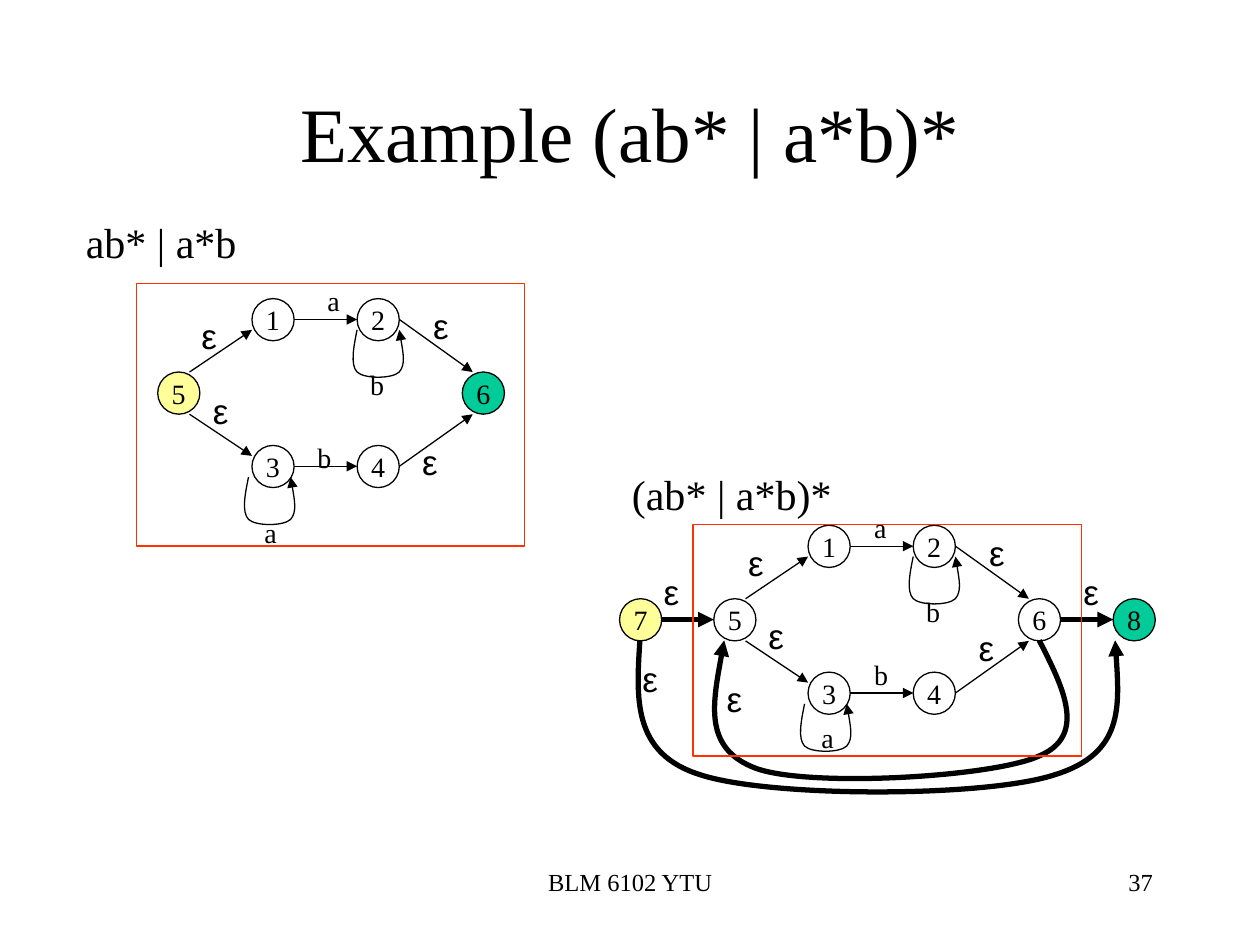
from lxml.etree import SubElement
from pptx import Presentation
from pptx.dml.color import RGBColor as Rgb
from pptx.enum.shapes import MSO_CONNECTOR as Link, MSO_SHAPE as Kind
from pptx.enum.text import MSO_ANCHOR as Anchor, MSO_AUTO_SIZE as Auto, PP_ALIGN as Align
from pptx.oxml.ns import qn
from pptx.util import Cm, Pt

BLACK, RED, YELLOW, GREEN = "000000", "FF3300", "FFFF99", "00CC99"
SERIF, SANS = "Times New Roman", "Arial"
SIZE = 0.85
LOOP = [(0, 0), (-0.07, 0.35), (-0.14, 0.7), (0, 0.85), (0.14, 0.99),
        (0.71, 0.99), (0.85, 0.85), (0.98, 0.7), (0.91, 0.35), (0.85, 0)]
NODES = [("1", 1.9, -1.48), ("2", 4.02, -1.48), ("3", 1.9, 1.48),
         ("4", 4.02, 1.48), ("5", 0, 0), ("6", 6.14, 0)]
EDGES = [(2.75, -1.06, 4.02, -1.06), (2.75, 1.9, 4.02, 1.9),
         (0.64, 0, 1.9, -0.85), (0.64, 0.85, 1.9, 1.69),
         (4.87, 1.9, 6.35, 0.85), (4.87, -1.06, 6.35, 0)]
LOOPS = [(4.02, -0.85), (1.83, 2.12)]
BACK = [(20.95, 12.91), (21.44, 13.87), (21.92, 14.83), (20.95, 15.24), (20.02, 15.67),
        (16.31, 15.88), (15.24, 15.49), (14.17, 15.09), (14.4, 14), (14.6, 12.91)]
SKIP = [(12.9, 12.91), (12.83, 14.05), (12.73, 15.19), (14.12, 15.62), (15.52, 16.08),
        (19.86, 16.08), (21.26, 15.62), (22.66, 15.19), (22.56, 14.05), (22.48, 12.91)]
LABELS = {
    "a": [(6.35, 5.59), (17.37, 10.16), (5.08, 10.26), (16.31, 14.4)],
    "b": [(6.15, 8.76), (7.21, 7.29), (18.42, 11.86), (17.37, 13.13)],
    "ε": [(4.04, 7.72), (3.81, 6.22), (8.48, 6.02), (8.26, 8.76),
          (12.7, 13.13), (14.4, 13.54), (13.13, 11.38), (21.59, 11.38),
          (14.83, 10.8), (15.24, 12.27), (19.48, 12.5), (19.69, 10.59)],
}


def paint(part, tone):
    part.solid()
    part.fore_color.rgb = Rgb.from_string(tone)


def write(shape, text, size, align, font=SERIF):
    frame = shape.text_frame
    frame.text = text
    para = frame.paragraphs[0]
    para.alignment = align
    face = para.runs[0].font
    face.size, face.name = Pt(size), font
    paint(face.fill, BLACK)
    return frame


def add_text(slide, text, box, size, align=Align.LEFT, font=SERIF, wrap=False):
    shape = slide.shapes.add_textbox(*map(Cm, box))
    frame = write(shape, text, size, align, font)
    frame.word_wrap = wrap
    if not wrap:
        frame.auto_size = Auto.SHAPE_TO_FIT_TEXT
    return frame


def add_form(slide, kind, box, edge, tone=None):
    shape = slide.shapes.add_shape(kind, *map(Cm, box))
    shape.shadow.inherit = False
    if tone:
        paint(shape.fill, tone)
    else:
        shape.fill.background()
    paint(shape.line.fill, edge)
    shape.line.width = Pt(0.75)
    return shape


def add_node(slide, text, x, y, tone=None):
    shape = add_form(slide, Kind.OVAL, (x, y, SIZE, SIZE), BLACK, tone)
    frame = write(shape, text, 16, Align.CENTER)
    frame.word_wrap = False
    frame.vertical_anchor = Anchor.MIDDLE


def add_head(line, width):
    paint(line.fill, BLACK)
    line.width = Pt(width)
    SubElement(line.fill._xPr, qn("a:tailEnd"), type="triangle")


def add_arrow(slide, ends, width=0.75):
    arrow = slide.shapes.add_connector(Link.STRAIGHT, *map(Cm, ends))
    add_head(arrow.line, width)
    SubElement(arrow._element.spPr, qn("a:effectLst"))


def add_curve(slide, points, width=0.75):
    spots = [(Cm(x), Cm(y)) for x, y in points]
    maker = slide.shapes.build_freeform(*spots[0])
    maker.add_line_segments(spots[1:], close=False)
    shape = maker.convert_to_shape()
    shape.shadow.inherit = False
    shape.fill.background()
    add_head(shape.line, width)
    track = shape._element.find(".//" + qn("a:path"))
    steps = track.findall(qn("a:lnTo"))
    for i in range(0, len(steps), 3):
        bend = SubElement(track, qn("a:cubicBezTo"))
        for step in steps[i:i + 3]:
            bend.append(step[0])
            track.remove(step)


def add_graph(slide, left, top, tones):
    for text, x, y in NODES:
        add_node(slide, text, left + x, top + y, tones.get(text))
    for x1, y1, x2, y2 in EDGES:
        add_arrow(slide, (left + x1, top + y1, left + x2, top + y2))
    for x, y in LOOPS:
        add_curve(slide, [(left + x + dx, top + y + dy) for dx, dy in LOOP])


def add_labels(slide):
    for text, spots in LABELS.items():
        if text == "ε":
            width, height, size, font = 0.81, 1.12, 20, SANS
        else:
            width, height, size, font = 0.77, 0.94, 16, SERIF
        for x, y in spots:
            add_text(slide, text, (x, y, width, height), size, font=font)


def main():
    deck = Presentation()
    deck.slide_width, deck.slide_height = Cm(25.4), Cm(19.05)
    slide = deck.slides.add_slide(deck.slide_layouts[6])

    add_text(slide, "BLM 6102 YTU", (8.68, 17.35, 8.05, 1.27), 14, Align.CENTER, wrap=True)
    add_text(slide, "37", (18.2, 17.35, 5.29, 1.27), 14, Align.RIGHT, wrap=True)
    title = add_text(slide, "Example (ab* | a*b)*", (1.9, 1.06, 21.6, 3.18), 44,
                     Align.CENTER, wrap=True)
    title.vertical_anchor = Anchor.MIDDLE

    add_graph(slide, 3.18, 7.5, {"5": YELLOW, "6": GREEN})
    add_graph(slide, 14.39, 12.07, {})
    add_text(slide, "ab* | a*b", (1.48, 4.24, 3.8, 1.27), 24, wrap=True)
    add_text(slide, "(ab* | a*b)*", (12.49, 9.31, 4.8, 1.27), 24, wrap=True)

    add_node(slide, "7", 12.49, 12.07, YELLOW)
    add_node(slide, "8", 22.44, 12.07, GREEN)
    for start, end in [(13.34, 14.39), (21.38, 22.44)]:
        add_arrow(slide, (start, 12.49, end, 12.49), 3)
    for points in (BACK, SKIP):
        add_curve(slide, points, 3)
    add_labels(slide)
    for box in [(2.75, 5.72, 7.83, 5.29), (13.97, 10.58, 7.83, 4.66)]:
        add_form(slide, Kind.RECTANGLE, box, RED)

    deck.save("out.pptx")


if __name__ == "__main__":
    main()
